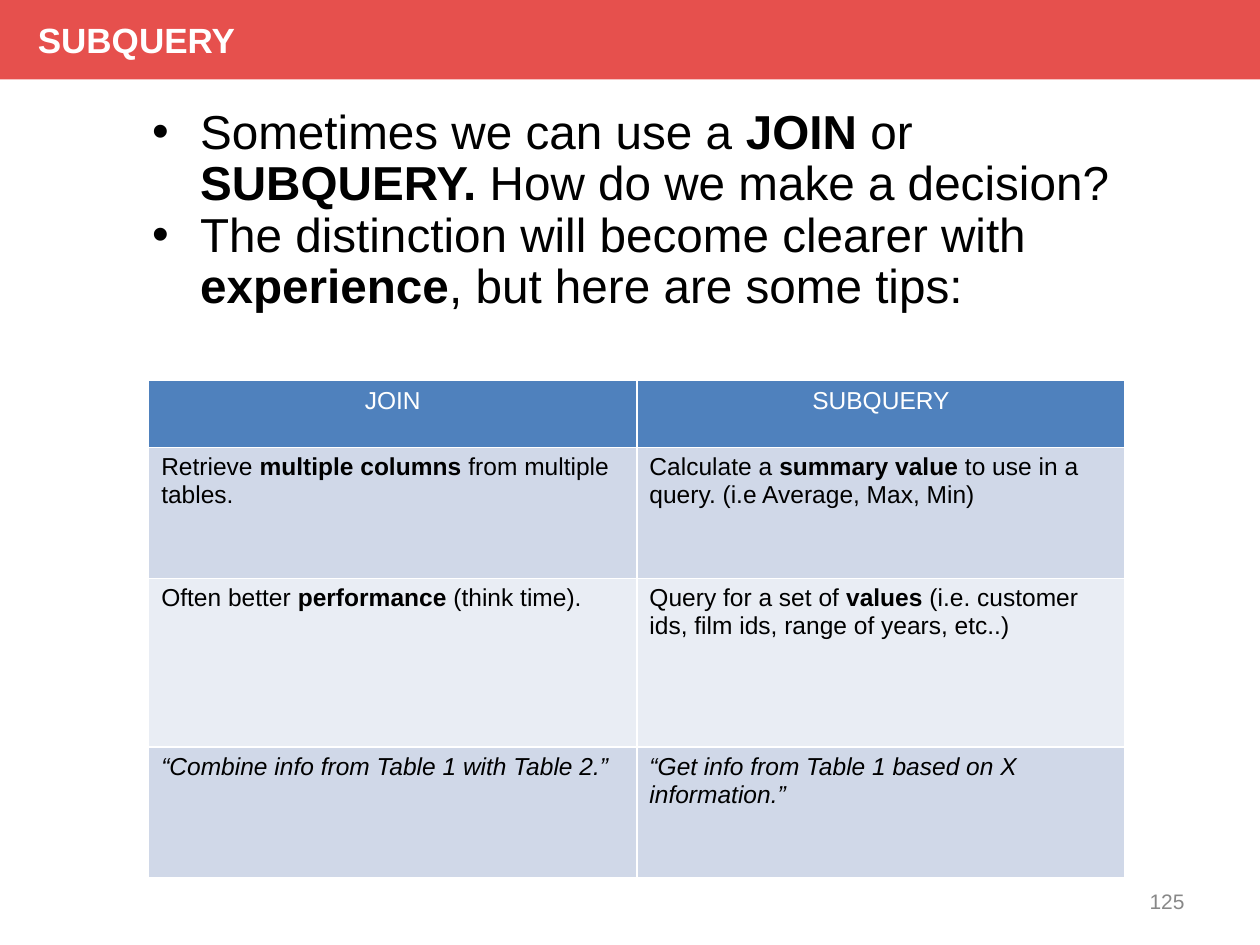
from lxml import etree
from pptx import Presentation
from pptx.dml.color import RGBColor
from pptx.enum import shapes, text
from pptx.oxml.ns import qn
from pptx.util import Inches, Pt

# Content: ** marks bold
TITLE = "SUBQUERY"
TIPS = [
    "Sometimes we can use a **JOIN **or **SUBQUERY. **How do we make a decision?",
    "The distinction will become clearer with **experience**, but here are some tips:",
]
ROWS = [
    ("JOIN", "SUBQUERY"),
    ("Retrieve** multiple columns **from multiple tables.",
     "Calculate a **summary value **to use in a query. (i.e Average, Max, Min)"),
    ("Often better **performance** (think time).",
     "Query for a set of **values **(i.e. customer ids, film ids, range of years, etc..)"),
    ("“Combine info from Table 1 with Table 2.”",
     "“Get info from Table 1 based on X information.”"),
]
PAGE = "125"
HEIGHTS = [0.53, 1.04, 1.34, 1.04]
FILLS = ["4F81BD", "D0D8E8", "E9EDF4", "D0D8E8"]
WHITE, BLACK = "FFFFFF", "000000"


def paint(fill, color):
    fill.solid()
    fill.fore_color.rgb = RGBColor.from_string(color)


def child(parent, tag, **attrs):
    return etree.SubElement(parent, qn(tag), attrs)


def write(para, words, size, color=BLACK, bold=False, italic=False,
          align=text.PP_ALIGN.LEFT):
    para.alignment = align
    for i, part in enumerate(words.split("**")):
        if part:
            run = para.add_run()
            run.text = part
            font = run.font
            font.name, font.size = "Arial", Pt(size)
            font.bold, font.italic = bold or i % 2 == 1, italic
            font.color.rgb = RGBColor.from_string(color)


def bullet(para):
    props = para._p.get_or_add_pPr()
    props.set("marL", str(Inches(0.38)))
    props.set("indent", str(-Inches(0.38)))
    child(child(props, "a:buClr"), "a:srgbClr", val=BLACK)
    child(props, "a:buFont", typeface="Arial")
    child(props, "a:buChar", char="•")


def border(cell):
    props = cell._tc.get_or_add_tcPr()
    for i, side in enumerate(("a:lnL", "a:lnR", "a:lnT", "a:lnB")):
        line = etree.Element(qn(side), w=str(Pt(1)))
        child(child(line, "a:solidFill"), "a:srgbClr", val=WHITE)
        props.insert(i, line)


def box(slide, *place):
    frame = slide.shapes.add_textbox(*map(Inches, place)).text_frame
    frame.word_wrap = True
    return frame


def main():
    deck = Presentation()
    deck.slide_width, deck.slide_height = Inches(10), Inches(7.5)
    slide = deck.slides.add_slide(deck.slide_layouts[6])

    # Title bar
    bar = slide.shapes.add_shape(shapes.MSO_SHAPE.RECTANGLE, 0, 0,
                                 deck.slide_width, Inches(0.63))
    bar.shadow.inherit = False
    paint(bar.fill, "E6504D")
    bar.line.fill.background()
    frame = bar.text_frame
    frame.margin_left = Inches(0.3)
    frame.vertical_anchor = text.MSO_ANCHOR.MIDDLE
    write(frame.paragraphs[0], TITLE, 20, WHITE, bold=True)

    # Bulleted tips
    frame = box(slide, 1.11, 0.81, 7.84, 2.34)
    for i, tip in enumerate(TIPS):
        para = frame.add_paragraph() if i else frame.paragraphs[0]
        para.line_spacing = 0.9
        bullet(para)
        write(para, tip, 27.2)

    # Page number
    frame = box(slide, 7.17, 6.95, 2.33, 0.4)
    frame.vertical_anchor = text.MSO_ANCHOR.MIDDLE
    write(frame.paragraphs[0], PAGE, 12, "888888", align=text.PP_ALIGN.RIGHT)

    # Comparison table
    table = slide.shapes.add_table(
        len(ROWS), 2, Inches(1.18), Inches(3.02),
        Inches(7.75), Inches(sum(HEIGHTS))).table
    for r, row in enumerate(ROWS):
        table.rows[r].height = Inches(HEIGHTS[r])
        head = r == 0
        for c, words in enumerate(row):
            cell = table.cell(r, c)
            paint(cell.fill, FILLS[r])
            border(cell)
            write(cell.text_frame.paragraphs[0], words, 14,
                  WHITE if head else BLACK, italic=r == len(ROWS) - 1,
                  align=text.PP_ALIGN.CENTER if head else text.PP_ALIGN.LEFT)

    deck.save("out.pptx")


if __name__ == "__main__":
    main()
